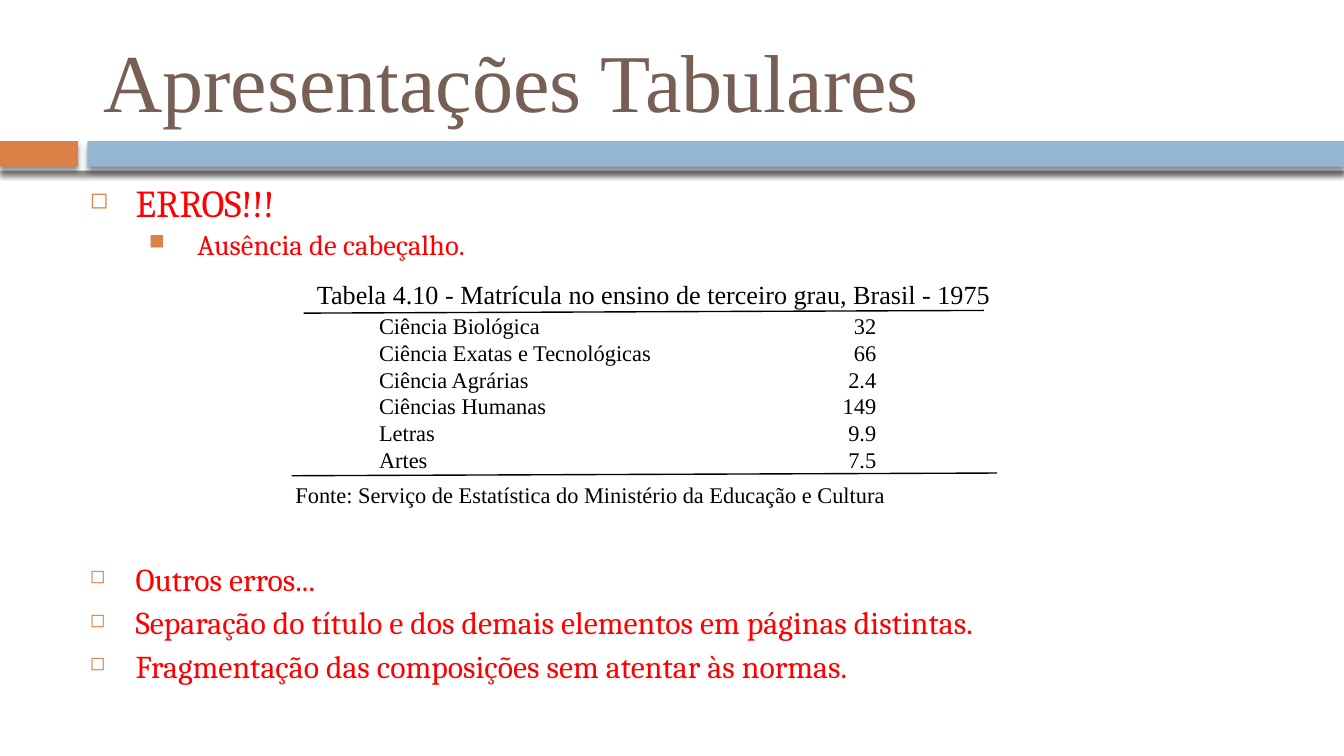
from lxml import etree
from pptx import Presentation
from pptx.dml.color import RGBColor
from pptx.enum import shapes, text
from pptx.oxml import ns
from pptx.util import Inches, Pt

SERIF = "Times New Roman"
ORANGE, BLUE, WHITE, BLACK = "DD8047", "94B6D2", "FFFFFF", "000000"
RED, BROWN = "FF0000", "775F55"

BANDS = [(0, 1.01, 10, 0.26, WHITE), (0, 1.05, 0.58, 0.19, ORANGE),
         (0.65, 1.05, 9.35, 0.19, BLUE)]
HOLLOW = dict(mark="◻", mark_size=60, left=0.35, hanging=-0.34)
SOLID = dict(mark="■", mark_size=75, left=0.81, hanging=-0.36)
ERRORS = [("ERROS!!!", 20.4, 0, HOLLOW), ("Ausência de cabeçalho.", 15.3, 5, SOLID)]
OTHER_ERRORS = [
    ("Outros erros...", 17, 0, HOLLOW),
    ("Separação do título e dos demais elementos em páginas distintas.", 17, 7, HOLLOW),
    ("Fragmentação das composições sem atentar às normas.", 17, 7, HOLLOW),
]
ENROLMENT = [("Ciência Biológica", "32"), ("Ciência Exatas e Tecnológicas", "66"),
             ("Ciência Agrárias", "2.4"), ("Ciências Humanas", "149"),
             ("Letras", "9.9"), ("Artes", "7.5")]


def rgb(value):
    """Turn a hex string into a colour."""
    return RGBColor.from_string(value)


def add_child(parent, tag, **attributes):
    """Append a DrawingML element to a parent element."""
    return etree.SubElement(parent, ns.qn(tag), attributes)


def style(paragraph, size, color, font=SERIF):
    """Format every run of a paragraph."""
    for run in paragraph.runs:
        run.font.size = Pt(size)
        run.font.name = font
        run.font.color.rgb = rgb(color)


def add_band(slide, left, top, width, height, color):
    """Add a borderless bar with a soft shadow below it."""
    band = slide.shapes.add_shape(shapes.MSO_SHAPE.RECTANGLE, Inches(left),
                                  Inches(top), Inches(width), Inches(height))
    band.fill.solid()
    band.fill.fore_color.rgb = rgb(color)
    band.line.fill.background()
    band.shadow.inherit = False
    effects = band.element.spPr.find(ns.qn("a:effectLst"))
    shadow = add_child(effects, "a:outerShdw", blurRad=str(Pt(3)), dist=str(Pt(2.4)),
                       dir="5400000", algn="ctr", rotWithShape="0")
    add_child(add_child(shadow, "a:srgbClr", val=BLACK), "a:alpha", val="45000")


def add_frame(slide, left, top, width, height, inset=0.1):
    """Add a wrapping text box and return its text frame."""
    frame = slide.shapes.add_textbox(Inches(left), Inches(top), Inches(width),
                                     Inches(height)).text_frame
    frame.word_wrap = True
    frame.margin_top = frame.margin_bottom = Inches(inset)
    return frame


def add_label(slide, words, left, top, width, height, size, color=BLACK):
    """Add a single line of text."""
    frame = add_frame(slide, left, top, width, height)
    frame.text = words
    style(frame.paragraphs[0], size, color)
    return frame


def add_bullets(slide, items, left, top, width, height):
    """Add a bulleted list with the given sizes, gaps and marks."""
    frame = add_frame(slide, left, top, width, height, inset=0.05)
    frame.text = "\n".join(item[0] for item in items)
    for paragraph, (_, size, gap, bullet) in zip(frame.paragraphs, items):
        paragraph.line_spacing = 0.8
        paragraph.space_before = Pt(gap)
        properties = paragraph._p.get_or_add_pPr()
        properties.set("marL", str(Inches(bullet["left"])))
        properties.set("indent", str(Inches(bullet["hanging"])))
        add_child(add_child(properties, "a:buClr"), "a:srgbClr", val=ORANGE)
        add_child(properties, "a:buSzPct", val=str(bullet["mark_size"] * 1000))
        add_child(properties, "a:buChar", char=bullet["mark"])
        style(paragraph, size, RED, "Cambria")


def add_enrolment(slide, left, top, widths, row_height):
    """Add the table of fields of study and their enrolment."""
    table = slide.shapes.add_table(
        len(ENROLMENT), len(widths), Inches(left), Inches(top),
        Inches(sum(widths)), Inches(row_height * len(ENROLMENT))).table
    table.first_row = table.horz_banding = False
    for column, width in zip(table.columns, widths):
        column.width = Inches(width)
    for row, values in zip(table.rows, ENROLMENT):
        row.height = Inches(row_height)
        for cell, value, align in zip(row.cells, values,
                                      (text.PP_ALIGN.LEFT, text.PP_ALIGN.RIGHT)):
            cell.fill.background()
            cell.margin_top = cell.margin_bottom = 0
            cell.vertical_anchor = text.MSO_ANCHOR.MIDDLE
            cell.text = value
            paragraph = cell.text_frame.paragraphs[0]
            paragraph.alignment = align
            style(paragraph, 12, BLACK)


def add_rule(slide, x1, y1, x2, y2):
    """Add a thin black line."""
    rule = slide.shapes.add_connector(shapes.MSO_CONNECTOR.STRAIGHT, Inches(x1),
                                      Inches(y1), Inches(x2), Inches(y2))
    rule.line.color.rgb = rgb(BLACK)
    rule.line.width = Pt(0.75)
    add_child(rule.element.spPr, "a:effectLst")


def main():
    """Build and save the slide."""
    deck = Presentation()
    deck.slide_width = Inches(10)
    deck.slide_height = Inches(10 * 9 / 16)
    slide = deck.slides.add_slide(deck.slide_layouts[6])
    for band in BANDS:
        add_band(slide, *band)
    title = add_label(slide, "Apresentações Tabulares", 0.67, 0.19, 8.92, 0.81, 44, BROWN)
    title.margin_top = title.margin_bottom = Inches(0.05)
    title.vertical_anchor = text.MSO_ANCHOR.MIDDLE
    add_bullets(slide, ERRORS, 0.56, 1.35, 8.22, 0.62)
    add_bullets(slide, OTHER_ERRORS, 0.56, 4.17, 8.22, 1.07)
    add_label(slide, "Tabela 4.10 - Matrícula no ensino de terceiro grau, Brasil - 1975",
              2.26, 1.97, 5.58, 0.35, 14)
    add_enrolment(slide, 2.72, 2.33, (3.13, 0.77), 0.2)
    add_rule(slide, 2.26, 2.33, 7.32, 2.31)
    add_rule(slide, 2.17, 3.54, 7.42, 3.52)
    add_label(slide, "Fonte: Serviço de Estatística do Ministério da Educação e Cultura",
              2.1, 3.48, 5.25, 0.25, 12)
    deck.save("out.pptx")


if __name__ == "__main__":
    main()
